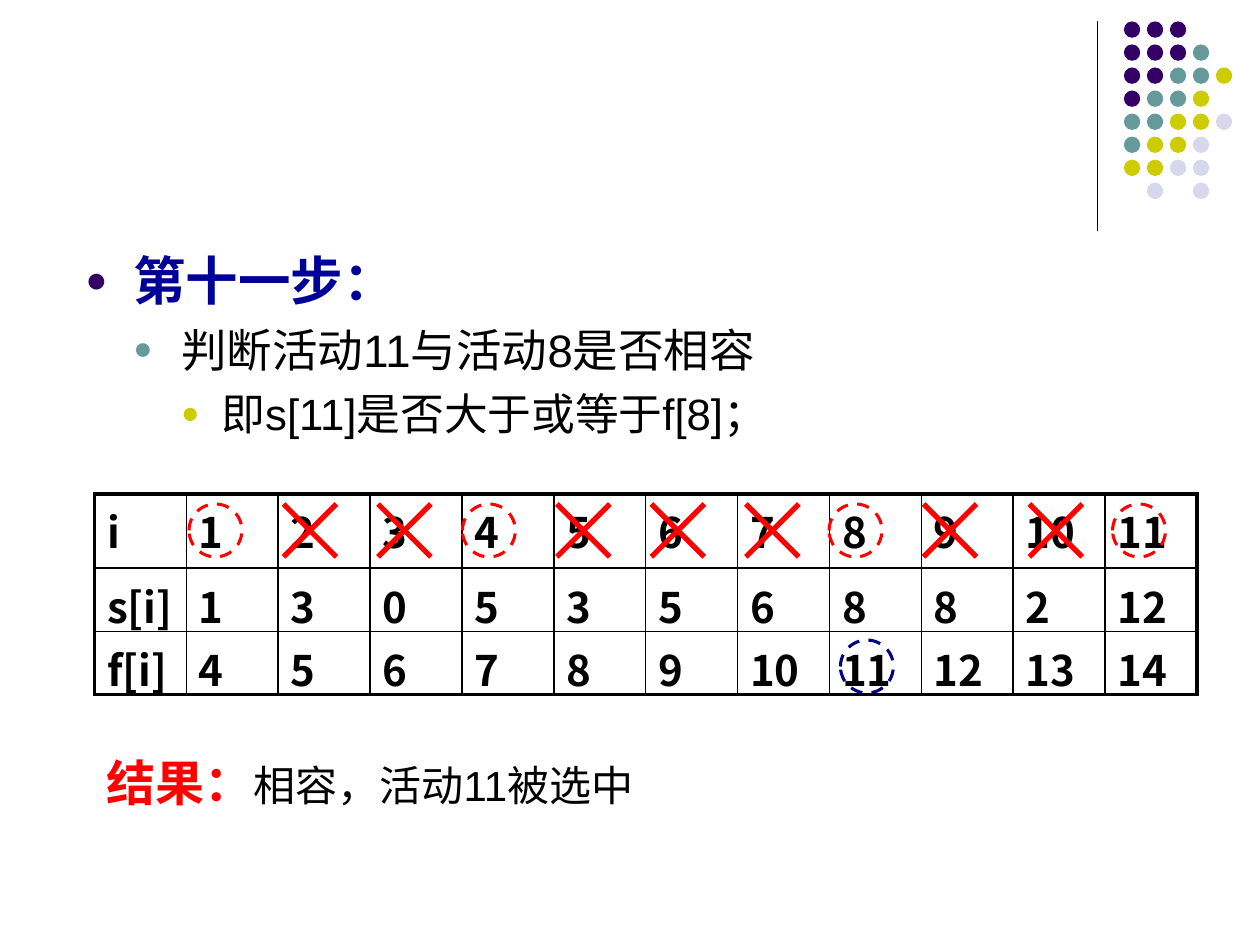
from dataclasses import dataclass

from lxml.etree import SubElement
from pptx import Presentation
from pptx.dml.color import RGBColor
from pptx.enum.dml import MSO_LINE
from pptx.enum.shapes import MSO_CONNECTOR, MSO_SHAPE
from pptx.oxml.ns import qn
from pptx.util import Inches, Pt


@dataclass(frozen=True)
class Theme:
    ink: str = "000000"
    purple: str = "330066"
    teal: str = "669999"
    olive: str = "CCCC00"
    lavender: str = "D8D8EC"
    heading: str = "000099"
    red: str = "FF0000"
    navy: str = "000080"
    text_font: str = "Arial"
    table_font: str = "Noto Sans CJK SC"
    heading_size: int = 30
    point_size: int = 26
    detail_size: int = 25
    result_size: int = 28
    table_size: int = 24


THEME = Theme()
DOT_ROWS = ["PPP", "PPPT", "PPTTO", "PTTO", "TTOOL", "TOOL", "OOLL", " L L"]
DOT_COLORS = {"P": THEME.purple, "T": THEME.teal, "O": THEME.olive, "L": THEME.lavender}
STEPS = [
    ("第十一步：", THEME.heading_size, THEME.heading, True, THEME.purple, 0.38, 0.38),
    ("判断活动11与活动8是否相容", THEME.point_size, THEME.ink, False, THEME.teal, 0.76, 0.38),
    ("即s[11]是否大于或等于f[8]；", THEME.detail_size, THEME.ink, False, THEME.olive, 1.08, 0.32),
]
ACTIVITIES = [
    ["i", *range(1, 12)],
    ["s[i]", 1, 3, 0, 5, 3, 5, 6, 8, 8, 2, 12],
    ["f[i]", 4, 5, 6, 7, 8, 9, 10, 11, 12, 13, 14],
]
ROW_HEIGHTS = [0.59, 0.4, 0.41]
MARK_LEFTS = [1.5, 2.25, 3, 3.67, 4.42, 5.17, 5.92, 6.58, 7.33, 8.17, 8.83]
SELECTED = {1, 4, 8, 11}
MARK_SIZE = 0.42


def color(value):
    return RGBColor.from_string(value)


def style_font(font, family, size, ink, bold):
    font.name, font.size, font.bold = family, Pt(size), bold
    font.color.rgb = color(ink)


def style_run(run, size, ink, bold):
    style_font(run.font, THEME.text_font, size, ink, bold)
    latin = run.font._element.find(qn("a:latin"))
    east_asian = latin.makeelement(qn("a:ea"), {"typeface": THEME.text_font})
    latin.addnext(east_asian)


def add_rule(shapes, start, end, ink, weight):
    rule = shapes.add_connector(MSO_CONNECTOR.STRAIGHT, *map(Inches, start + end))
    rule.line.color.rgb = color(ink)
    rule.line.width = Pt(weight)
    SubElement(rule._element.spPr, qn("a:effectLst"))


def add_oval(shapes, left, top, size):
    oval = shapes.add_shape(MSO_SHAPE.OVAL, *map(Inches, (left, top, size, size)))
    oval.shadow.inherit = False
    return oval


def add_corner_dots(slide, left, top, width, height):
    add_rule(slide.shapes, (left, top), (left, 1.83), THEME.ink, 0.75)
    size, grid_left = 0.13, left + 0.21
    step_x = (width - 0.21 - size) / 4
    step_y = (height - size) / (len(DOT_ROWS) - 1)
    dots = slide.shapes.add_group_shape().shapes
    for row, codes in enumerate(DOT_ROWS):
        for column, code in enumerate(codes):
            if code == " ":
                continue
            dot = add_oval(dots, grid_left + column * step_x, top + row * step_y, size)
            dot.fill.solid()
            dot.fill.fore_color.rgb = color(DOT_COLORS[code])
            dot.line.fill.background()


def add_bullet(paragraph, ink, margin, hanging):
    properties = paragraph._p.get_or_add_pPr()
    properties.set("marL", str(Inches(margin)))
    properties.set("indent", str(-Inches(hanging)))
    bullet_color = SubElement(properties, qn("a:buClr"))
    SubElement(bullet_color, qn("a:srgbClr"), val=ink)
    SubElement(properties, qn("a:buSzPct"), val="70000")
    SubElement(properties, qn("a:buFont"), typeface=THEME.text_font)
    SubElement(properties, qn("a:buChar"), char="●")


def add_text_frame(slide, box):
    frame = slide.shapes.add_textbox(*map(Inches, box)).text_frame
    frame.word_wrap = True
    return frame


def add_steps(slide, *box):
    frame = add_text_frame(slide, box)
    frame.text = "\n".join(step[0] for step in STEPS)
    for level, (paragraph, step) in enumerate(zip(frame.paragraphs, STEPS)):
        _, size, ink, bold, bullet_ink, margin, hanging = step
        paragraph.level = level
        if level:
            paragraph.space_before = Pt(6)
        add_bullet(paragraph, bullet_ink, margin, hanging)
        style_run(paragraph.runs[0], size, ink, bold)


def set_borders(cell, weights):
    properties = cell._tc.get_or_add_tcPr()
    for side, weight in weights.items():
        border = SubElement(properties, qn(f"a:ln{side}"), w=str(Pt(weight)))
        fill = SubElement(border, qn("a:solidFill"))
        SubElement(fill, qn("a:srgbClr"), val=THEME.ink)


def add_activity_table(slide, left, top, width, height):
    rows, columns = len(ACTIVITIES), len(ACTIVITIES[0])
    table = slide.shapes.add_table(
        rows, columns, *map(Inches, (left, top, width, height))
    ).table
    table.first_row = table.horz_banding = False
    for column in table.columns:
        column.width = Inches(width / columns)
    for r, values in enumerate(ACTIVITIES):
        table.rows[r].height = Inches(ROW_HEIGHTS[r])
        for c, value in enumerate(values):
            cell = table.cell(r, c)
            edges = {"L": c == 0, "R": c == columns - 1, "T": r == 0, "B": r == rows - 1}
            set_borders(cell, {side: 2.25 if outer else 1 for side, outer in edges.items()})
            cell.fill.background()
            cell.text_frame.text = str(value)
            run = cell.text_frame.paragraphs[0].runs[0]
            style_font(run.font, THEME.table_font, THEME.table_size, THEME.ink, True)


def add_ring(slide, left, top, ink):
    ring = add_oval(slide.shapes, left, top, MARK_SIZE)
    ring.fill.background()
    ring.line.color.rgb = color(ink)
    ring.line.width = Pt(1.75)
    ring.line.dash_style = MSO_LINE.DASH


def add_cross(slide, left, top):
    strokes = slide.shapes.add_group_shape().shapes
    right, bottom = left + MARK_SIZE, top + MARK_SIZE
    add_rule(strokes, (left, bottom), (right, top), THEME.red, 3)
    add_rule(strokes, (left, top), (right, bottom), THEME.red, 3)


def add_marks(slide, top):
    for activity, left in enumerate(MARK_LEFTS, start=1):
        if activity in SELECTED:
            add_ring(slide, left, top, THEME.red)
        else:
            add_cross(slide, left, top)
    add_ring(slide, 6.67, top + 1.08, THEME.navy)


def add_result(slide, *box):
    paragraph = add_text_frame(slide, box).paragraphs[0]
    for words, size, ink, bold in [
        ("结果：", THEME.result_size, THEME.red, True),
        ("相容，活动11被选中", THEME.table_size, THEME.ink, False),
    ]:
        run = paragraph.add_run()
        run.text = words
        style_run(run, size, ink, bold)


def main():
    deck = Presentation()
    deck.slide_width, deck.slide_height = Inches(10), Inches(7.5)
    slide = deck.slides.add_slide(deck.slide_layouts[6])
    add_corner_dots(slide, 8.71, 0.17, 1.07, 1.41)
    add_steps(slide, 0.58, 1.92, 7.67, 1.75)
    add_activity_table(slide, 0.75, 3.92, 8.75, sum(ROW_HEIGHTS))
    add_marks(slide, 4)
    add_result(slide, 0.75, 5.92, 7.58, 0.57)
    deck.save("out.pptx")


if __name__ == "__main__":
    main()
